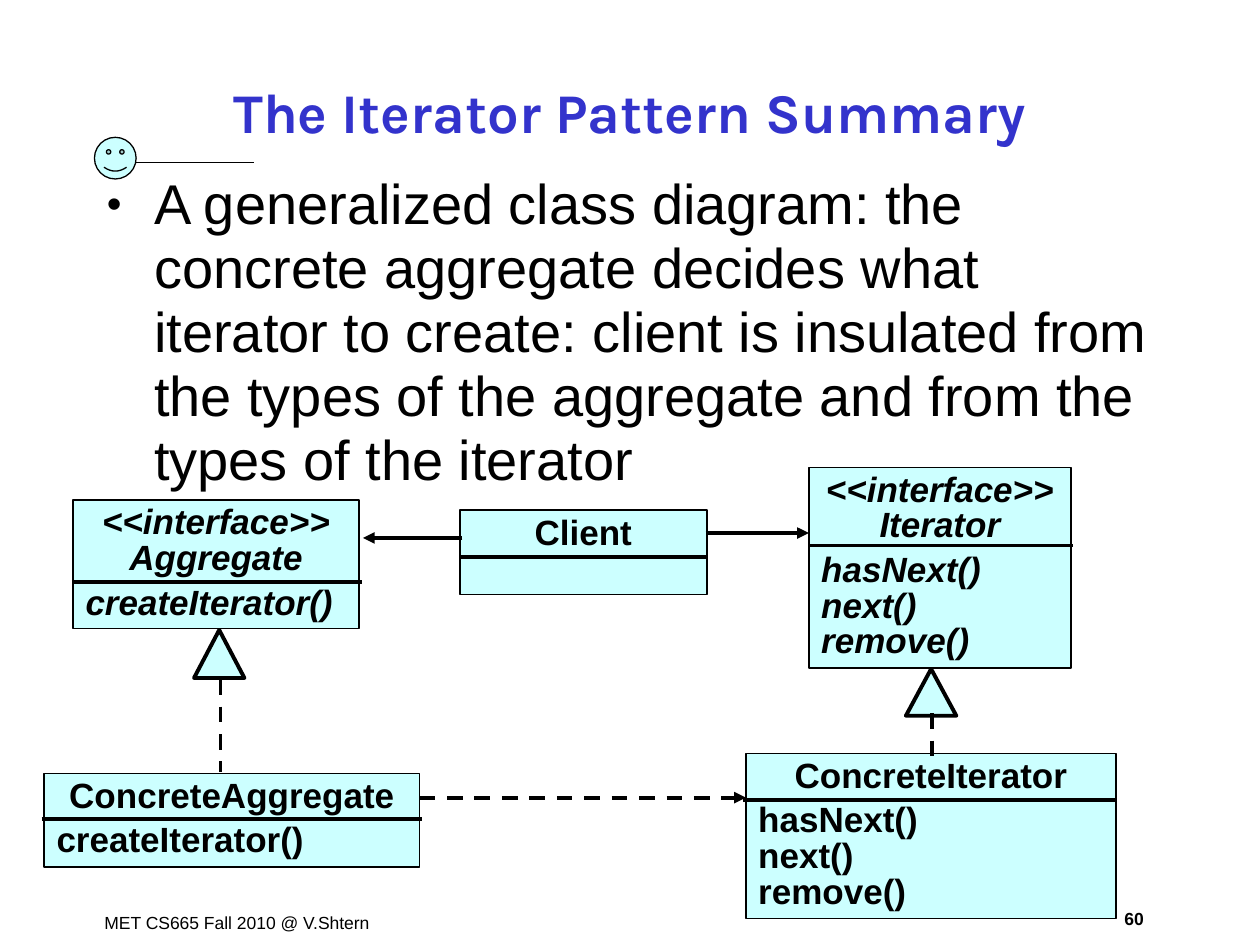
from lxml.etree import SubElement
from pptx import Presentation
from pptx.dml.color import RGBColor
from pptx.enum.dml import MSO_LINE
from pptx.enum.shapes import MSO_CONNECTOR, MSO_SHAPE
from pptx.enum.text import MSO_ANCHOR, PP_ALIGN
from pptx.oxml.ns import qn
from pptx.util import Pt

COLORS = {"title": "3333CC", "ink": "000000", "fill": "CCFFFF"}


def color(name):
    """Return the named colour of the palette."""
    return RGBColor.from_string(COLORS[name])


def write(frame, text, size=20, bold=False, italic=False, ink="ink", font="Arial",
          align=PP_ALIGN.LEFT, spacing=1.0, before=0, bullet=False, first=True):
    """Write one formatted paragraph into a text frame."""
    paragraph = frame.paragraphs[0] if first else frame.add_paragraph()
    if bullet:
        props = paragraph._p.get_or_add_pPr()
        props.set("marL", str(Pt(27)))
        props.set("indent", str(Pt(-27)))
        SubElement(props, qn("a:buSzPct"), val="75000")
        SubElement(props, qn("a:buFont"), typeface="Arial")
        SubElement(props, qn("a:buChar"), char="•")
    paragraph.alignment = align
    paragraph.line_spacing = spacing
    paragraph.space_before = Pt(before)
    run = paragraph.add_run()
    run.text = text
    run.font.size = Pt(size)
    run.font.name = font
    run.font.bold = bold
    run.font.italic = italic
    run.font.color.rgb = color(ink)


def add_text(slide, box, text, anchor=MSO_ANCHOR.TOP, **style):
    """Add a text box holding one paragraph."""
    frame = slide.shapes.add_textbox(*map(Pt, box)).text_frame
    frame.word_wrap = True
    frame.vertical_anchor = anchor
    write(frame, text, **style)


def add_figure(slide, preset, box, weight=1):
    """Add a filled and outlined preset shape."""
    figure = slide.shapes.add_shape(preset, *map(Pt, box))
    figure.shadow.inherit = False
    figure.fill.solid()
    figure.fill.fore_color.rgb = color("fill")
    figure.line.color.rgb = color("ink")
    figure.line.width = Pt(weight)
    return figure


def add_line(slide, start, end, weight=2.25, dashed=False, arrow=False):
    """Draw a straight line, optionally dashed or ending in an arrowhead."""
    line = slide.shapes.add_connector(MSO_CONNECTOR.STRAIGHT, *map(Pt, start + end))
    line.line.color.rgb = color("ink")
    line.line.width = Pt(weight)
    if dashed:
        line.line.dash_style = MSO_LINE.DASH
    if arrow:
        SubElement(line.line._get_or_add_ln(), qn("a:tailEnd"), type="triangle")
    SubElement(line._element.spPr, qn("a:effectLst"))


def add_class(slide, box, names, members, divider, overhang=(0, 0), italic=False):
    """Draw a class box with its names, dividing line and members."""
    left, top, width, _ = box
    frame = add_figure(slide, MSO_SHAPE.RECTANGLE, box).text_frame
    frame.word_wrap = True
    frame.vertical_anchor = MSO_ANCHOR.TOP
    for index, name in enumerate(names):
        write(frame, name, bold=True, italic=italic, align=PP_ALIGN.CENTER,
              spacing=0.85, first=index == 0)
    for index, member in enumerate(members):
        write(frame, member, bold=True, italic=italic, spacing=0.85,
              before=5 if index == 0 else 0, first=False)
    add_line(slide, (left - overhang[0], top + divider),
             (left + width + overhang[1], top + divider))


def add_realization(slide, box, stem_x, stem_top, stem_bottom):
    """Draw a hollow triangle with its dashed stem."""
    add_figure(slide, MSO_SHAPE.ISOSCELES_TRIANGLE, box, weight=2.25)
    add_line(slide, (stem_x, stem_top), (stem_x, stem_bottom), dashed=True)


def add_diagram(slide, left, top):
    """Draw the iterator class diagram from its top left corner."""
    def at(x, y, *size):
        return (left + x, top + y, *size)

    cursor = ["hasNext()", "next()", "remove()"]
    add_class(slide, at(237.6, 24.5, 141.1, 48.2), ["Client"], [], 26.6)
    add_class(slide, at(16.6, 18.7, 163.4, 73.4), ["<<interface>>", "Aggregate"],
              ["createIterator()"], 46.8, (0, 1.4), italic=True)
    add_class(slide, at(0, 175, 214.6, 53.3), ["ConcreteAggregate"],
              ["createIterator()"], 25.9, (1.4, 1.4))
    add_class(slide, at(437, 0, 149.8, 114.5), ["<<interface>>", "Iterator"],
              cursor, 44.6, (0, 1.4), italic=True)
    add_class(slide, at(401, 163.5, 211.7, 94.3), ["ConcreteIterator"],
              cursor, 26.6, (1.4, 0))
    add_realization(slide, at(85.7, 92.9, 28.8, 27.4), left + 100.8, top + 121, top + 174.3)
    add_realization(slide, at(492.5, 115.2, 28.8, 26.7), left + 507.6, top + 140.4, top + 166.3)
    add_line(slide, at(214.6, 188.7), at(401, 188.7), dashed=True, arrow=True)
    add_line(slide, at(239, 40.3), at(182.2, 40.3), arrow=True)
    add_line(slide, at(378, 37.5), at(437, 37.5), arrow=True)


def add_heading(slide, left, top, width):
    """Place the title, smiley ornament and rule."""
    smiley = add_figure(slide, MSO_SHAPE.SMILEY_FACE, (left, top + 43.9, 23.8, 23.8), 0.75)
    smiley.adjustments[0] = 0.0465
    add_line(slide, (left + 23.8, top + 58.3), (left + 91.4, top + 58.3), weight=1)
    add_text(slide, (left, top, width, 57.6), "The Iterator Pattern Summary",
             anchor=MSO_ANCHOR.MIDDLE, size=32, bold=True, ink="title", font="Karla",
             align=PP_ALIGN.CENTER)


def add_footer(slide, left, top):
    """Place the course line and the page number."""
    add_text(slide, (left, top, 190, 19.4), "MET CS665 Fall 2010 @ V.Shtern", size=10)
    add_text(slide, (left + 576, top - 2.2, 38.9, 19.4), "60", size=10, bold=True,
             align=PP_ALIGN.CENTER)


def main():
    """Build the slide and save it."""
    deck = Presentation()
    deck.slide_width, deck.slide_height = Pt(720), Pt(540)
    slide = deck.slides.add_slide(deck.slide_layouts[6])
    add_footer(slide, 52.6, 517.7)
    add_heading(slide, 54, 34.6, 612)
    add_text(slide, (54, 95.8, 612, 414.7),
             "A generalized class diagram: the concrete aggregate decides what iterator "
             "to create: client is insulated from the types of the aggregate and from "
             "the types of the iterator", size=32, spacing=0.95, bullet=True)
    add_diagram(slide, 25.2, 267.1)
    deck.save("out.pptx")


if __name__ == "__main__":
    main()
